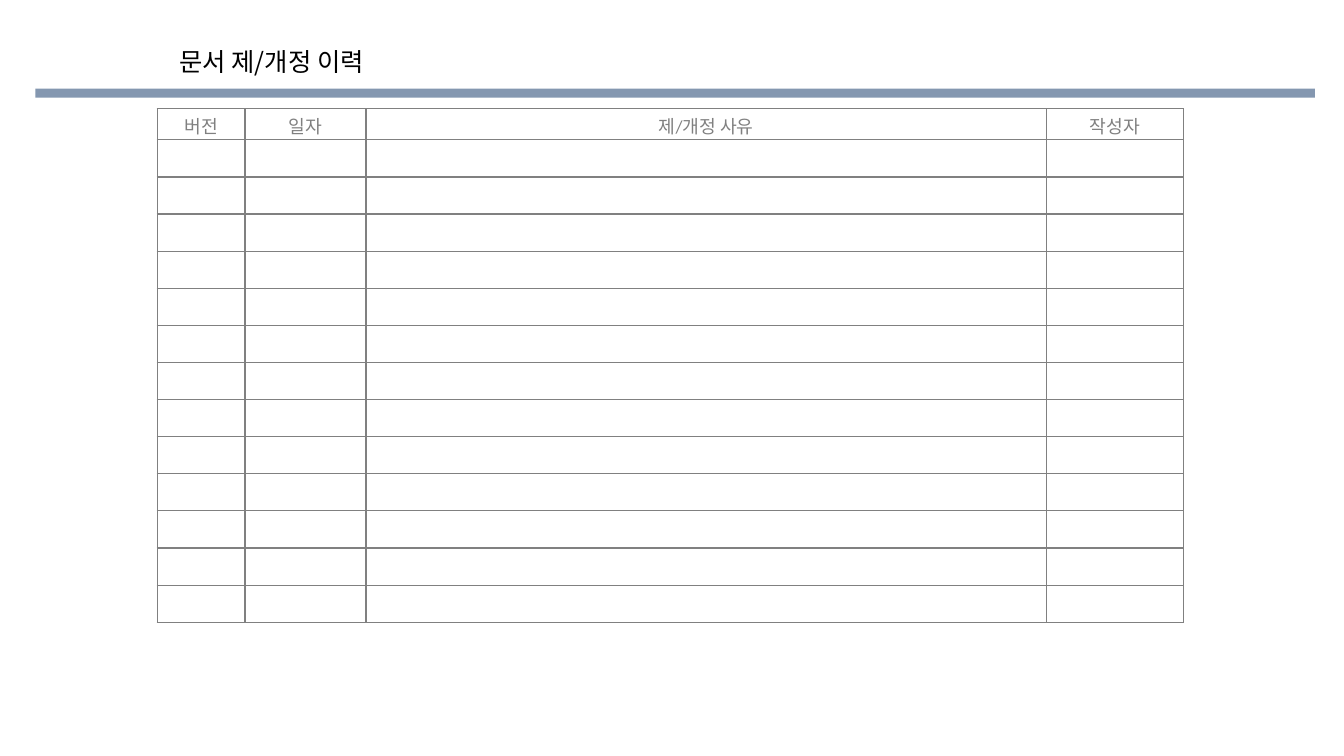
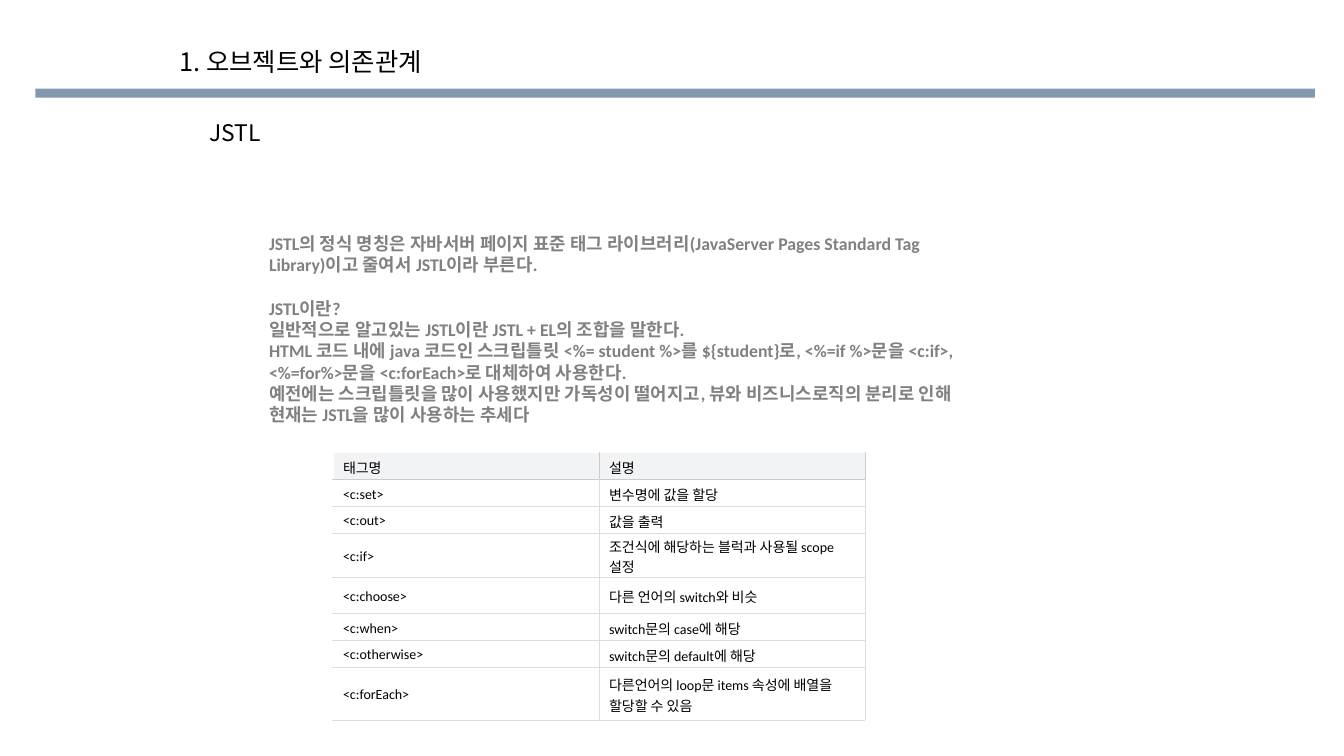
from lxml.etree import SubElement
from pptx import Presentation
from pptx.dml.color import RGBColor
from pptx.enum.shapes import MSO_SHAPE
from pptx.enum.text import MSO_ANCHOR, PP_ALIGN
from pptx.oxml.ns import qn
from pptx.util import Inches, Pt

BAND, GREY, BLACK, WHITE = "8497B0", "808080", "000000", "FFFFFF"
HEAD, EDGE, RULE = "F1F3F5", "CCCCCC", "DDDDDD"
NOTO, BODY = "Noto Sans CJK KR", "Calibri"

TITLE = dict(size=18.1, color=BLACK, name=NOTO, asian=NOTO)
TOPIC = dict(TITLE, size=16.3)
NOTE = dict(size=12.7, color=GREY, name=BODY, asian=BODY, bold=True)
LABEL = dict(size=13, color=GREY, name=BODY, asian=NOTO, align=PP_ALIGN.CENTER)
CELL = dict(size=10, color=BLACK, name=BODY, asian=NOTO)

deck = Presentation()
deck.slide_width, deck.slide_height = Inches(13.33), Inches(7.5)
col, row = deck.slide_width / 100, deck.slide_height / 100


def write(frame, lines, style):
    """Fill a text frame, one paragraph a line, in the given style."""
    for i, line in enumerate(lines):
        para = frame.add_paragraph() if i else frame.paragraphs[0]
        para.alignment = style.get("align", PP_ALIGN.LEFT)
        size = Pt(style["size"])
        if not line:
            SubElement(para._p, qn("a:endParaRPr"), sz=str(size.centipoints))
            continue
        run = para.add_run()
        run.text = line
        run.font.color.rgb = RGBColor.from_string(style["color"])
        look = dict(size=size, name=style["name"], bold=style.get("bold", False))
        for key, value in look.items():
            setattr(run.font, key, value)
        SubElement(run._r.rPr, qn("a:ea"), typeface=style["asian"])


def grid(slide, x, y, widths, heights, texts, style, edge):
    """Add a table; edge(r, c, side) gives a (colour, points) pair or None."""
    table = slide.shapes.add_table(
        len(heights), len(widths), int(x * col), int(y * row),
        int(sum(widths) * col), int(sum(heights) * row)).table
    table.first_row = table.horz_banding = False
    for c, width in enumerate(widths):
        table.columns[c].width = int(width * col)
    for r, height in enumerate(heights):
        table.rows[r].height = int(height * row)
        for c in range(len(widths)):
            cell = table.cell(r, c)
            cell.margin_top, cell.margin_bottom = Inches(0.03), 0
            cell.vertical_anchor = MSO_ANCHOR.MIDDLE
            write(cell.text_frame, [texts[r][c]], style)
            props = cell._tc.get_or_add_tcPr()
            for side in "LRTB":
                line = edge(r, c, side)
                if line:
                    ln = SubElement(props, qn("a:ln" + side), w=str(Pt(line[1])))
                    fill = SubElement(ln, qn("a:solidFill"))
                    SubElement(fill, qn("a:srgbClr"), val=line[0])
            cell.fill.solid()
            shade = HEAD if style is CELL and r == 0 else WHITE
            cell.fill.fore_color.rgb = RGBColor.from_string(shade)


# Text boxes of each slide: left, top, width, height, style, lines
title = (12.6, 5.47, 63.76, 5.47, TITLE)
pages = [
    [(*title, ["문서 제/개정 이력"])],
    [
        (*title, ["1. 오브젝트와 의존관계"]),
        (14.85, 15.07, 72.9, 5.07, TOPIC, ["JSTL"]),
        (19.28, 30.13, 53.4, 7.07, NOTE, [
            "JSTL의 정식 명칭은 자바서버 페이지 표준 태그 라이브러리(JavaServer Pages "
            "Standard Tag Library)이고 줄여서 JSTL이라 부른다."]),
        (19.28, 38.67, 53.4, 18.4, NOTE, [
            "JSTL이란?",
            "일반적으로 알고있는 JSTL이란 JSTL + EL의 조합을 말한다.",
            "HTML 코드 내에 java 코드인 스크립틀릿 <%= student %>를 ${student}로, "
            "<%=if %>문을 <c:if>, <%=for%>문을 <c:forEach>로 대체하여 사용한다.",
            "예전에는 스크립틀릿을 많이 사용했지만 가독성이 떨어지고, 뷰와 "
            "비즈니스로직의 분리로 인해 현재는 JSTL을 많이 사용하는 추세다"]),
    ],
]
slides = []
for boxes in pages:
    slide = deck.slides.add_slide(deck.slide_layouts[6])
    slides.append(slide)
    band = slide.shapes.add_shape(
        MSO_SHAPE.RECTANGLE, int(2.63 * col), int(11.73 * row),
        int(95.2 * col), int(1.2 * row))
    band.shadow.inherit = False
    band.fill.solid()
    band.fill.fore_color.rgb = RGBColor.from_string(BAND)
    band.line.fill.background()
    for x, y, w, h, style, lines in boxes:
        box = slide.shapes.add_textbox(
            int(x * col), int(y * row), int(w * col), int(h * row))
        box.text_frame.word_wrap = True
        write(box.text_frame, lines, style)

# Revision history
blanks = 13
names = ["버전", "일자", "제/개정 사유", "작성자"]
grid(slides[0], 11.7, 14.4, [6.53, 9, 50.63, 10.2], [4.1] + [4.91] * blanks,
     [names] + [[""] * len(names)] * blanks, LABEL, lambda r, c, side: (GREY, 1))

# Tag list, open at the left and the top
tags = [
    ("태그명", "설명"),
    ("<c:set>", "변수명에 값을 할당"),
    ("<c:out>", "값을 출력"),
    ("<c:if>", "조건식에 해당하는 블럭과 사용될 scope설정"),
    ("<c:choose>", "다른 언어의 switch와 비슷"),
    ("<c:when>", "switch문의 case에 해당"),
    ("<c:otherwise>", "switch문의 default에 해당"),
    ("<c:forEach>", "다른언어의 loop문 items 속성에 배열을 할당할 수 있음"),
]


def rule(r, c, side):
    if (side == "L" and c == 0) or (side == "T" and r == 0):
        return None
    return (EDGE if r == 0 or (r == 1 and side == "T") else RULE, 0.6)


low = 3.55
grid(slides[1], 24.77, 59.87, [19.8] * 2,
     [low, low, low, 5.82, 4.8, low, low, 7], tags, CELL, rule)

deck.save("out.pptx")
